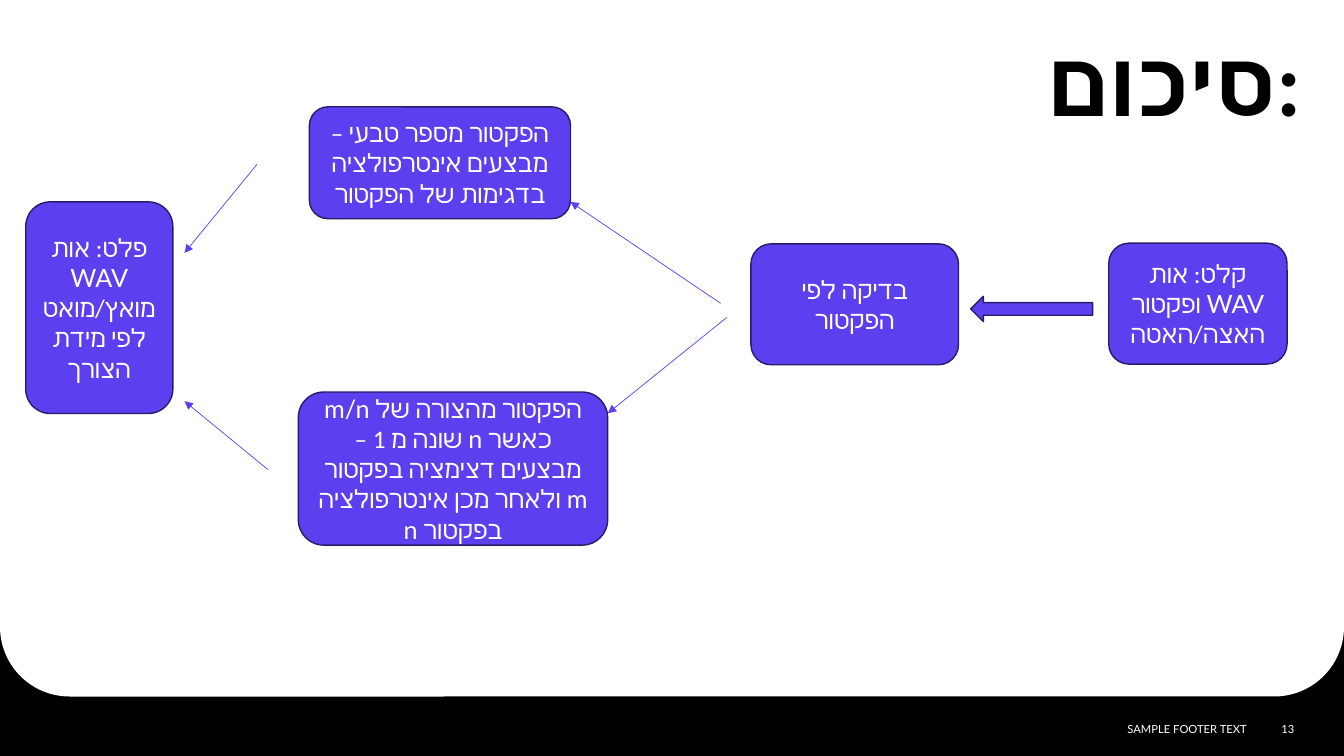
import pptx
import pptx.dml.color
import pptx.enum.shapes
import pptx.enum.text
import pptx.oxml
import pptx.oxml.ns
import pptx.util

Pt = pptx.util.Pt
SHAPES = pptx.enum.shapes.MSO_SHAPE
ALIGN = pptx.enum.text.PP_ALIGN
ANCHOR = pptx.enum.text.MSO_ANCHOR
PURPLE = "5C40EF"
NAVY = "281C69"
WHITE = "FFFFFF"
BLACK = "000000"
HEBREW_FONT = "Calibri"


def set_color(target, color):
    target.rgb = pptx.dml.color.RGBColor.from_string(color)


def add_element(parent, tag, **attributes):
    element = pptx.oxml.parse_xml(f"<{tag} {pptx.oxml.ns.nsdecls('a')}/>")
    for name, value in attributes.items():
        element.set(name, value)
    parent.append(element)


def write_text(shape, text, size, font, color, align, anchor, bold=False):
    frame = shape.text_frame
    frame.word_wrap = True
    frame.vertical_anchor = anchor
    frame.text = text
    para = frame.paragraphs[0]
    para.alignment = align
    for span in para.runs:
        span.font.size = Pt(size)
        span.font.name = font
        span.font.bold = bold
        set_color(span.font.color, color)
        add_element(span.font._element, "a:cs", typeface=HEBREW_FONT)
    return para


def add_label(page, bounds, *style, **options):
    box = page.shapes.add_textbox(*map(Pt, bounds))
    return write_text(box, *style, **options)


def add_block(page, kind, bounds, fill, outline=None):
    shape = page.shapes.add_shape(kind, *map(Pt, bounds))
    shape.shadow.inherit = False
    shape.fill.solid()
    set_color(shape.fill.fore_color, fill)
    if outline:
        set_color(shape.line.color, outline)
        shape.line.width = Pt(1)
    else:
        shape.line.fill.background()
    return shape


def add_step(page, bounds, text, right_to_left):
    step = add_block(page, SHAPES.ROUNDED_RECTANGLE, bounds, PURPLE, NAVY)
    para = write_text(step, text, 18, "Lato", WHITE, ALIGN.CENTER, ANCHOR.MIDDLE)
    step.text_frame.margin_left = step.text_frame.margin_right = Pt(5)
    if right_to_left:
        para._p.get_or_add_pPr().set("rtl", "1")


def add_arrow(page, start, end):
    arrow = page.shapes.add_connector(
        pptx.enum.shapes.MSO_CONNECTOR.STRAIGHT, *map(Pt, start + end)
    )
    set_color(arrow.line.color, PURPLE)
    arrow.line.width = Pt(0.5)
    add_element(arrow.line._get_or_add_ln(), "a:tailEnd", type="triangle")
    add_element(arrow._element.spPr, "a:effectLst")


def main():
    deck = pptx.Presentation()
    deck.slide_width = Pt(960)
    deck.slide_height = Pt(540)
    page = deck.slides.add_slide(deck.slide_layouts[6])
    page.background.fill.solid()
    set_color(page.background.fill.fore_color, BLACK)

    panel = add_block(page, SHAPES.ROUND_2_SAME_RECTANGLE, (0, 0, 960, 497.5), WHITE)
    panel.adjustments[0] = 0
    panel.adjustments[1] = 0.1

    title = add_label(page, (183.6, 23.8, 753.1, 75.3), "סיכום:", 64.8, "Calibri",
                      BLACK, ALIGN.RIGHT, ANCHOR.TOP, bold=True)
    title.line_spacing = 0.9
    for left, width, text in ((578.2, 319.7, "SAMPLE FOOTER TEXT"), (897.9, 33.8, "13")):
        footer = add_label(page, (left, 506.2, width, 28.8), text, 8, "Lato",
                           WHITE, ALIGN.RIGHT, ANCHOR.MIDDLE)
        footer.space_after = Pt(6)

    steps = (
        ((792, 173.7, 127.4, 86.4), "קלט: אות WAV ופקטור האצה/האטה", True),
        ((536.4, 174.2, 148.3, 86.4), "בדיקה לפי הפקטור", False),
        ((221, 76.3, 186.5, 79.9),
         "הפקטור מספר טבעי – מבצעים אינטרפולציה בדגימות של הפקטור", False),
        ((213.1, 280, 221, 109.4),
         "הפקטור מהצורה של m/n כאשר n שונה מ 1 – מבצעים דצימציה בפקטור m "
         "ולאחר מכן אינטרפולציה בפקטור n", True),
        ((18.4, 144.2, 105.1, 151.2), "פלט: אות WAV מואץ/מואט לפי מידת הצורך", True),
    )
    for bounds, text, right_to_left in steps:
        add_step(page, bounds, text, right_to_left)

    input_arrow = add_block(page, SHAPES.RIGHT_ARROW, (693.4, 211.7, 87.1, 18),
                            PURPLE, NAVY)
    input_arrow.rotation = 180
    for start, end in (
        ((514.8, 216.7), (407.5, 144.2)),
        ((519.1, 226.8), (434.2, 295.2)),
        ((183.6, 117.4), (131.8, 180.7)),
        ((191.5, 335.5), (131.8, 286.6)),
    ):
        add_arrow(page, start, end)
    deck.save("out.pptx")


if __name__ == "__main__":
    main()
